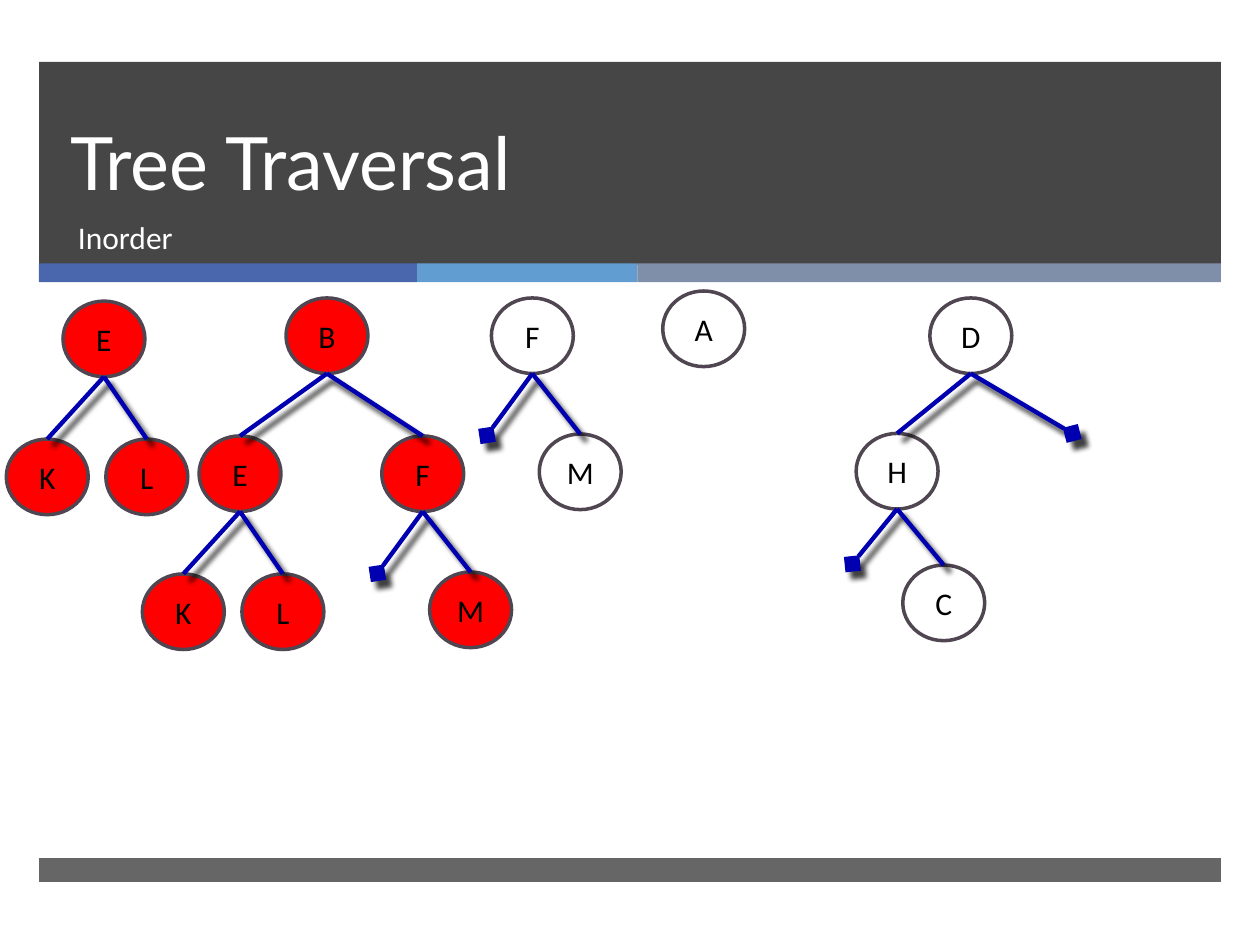
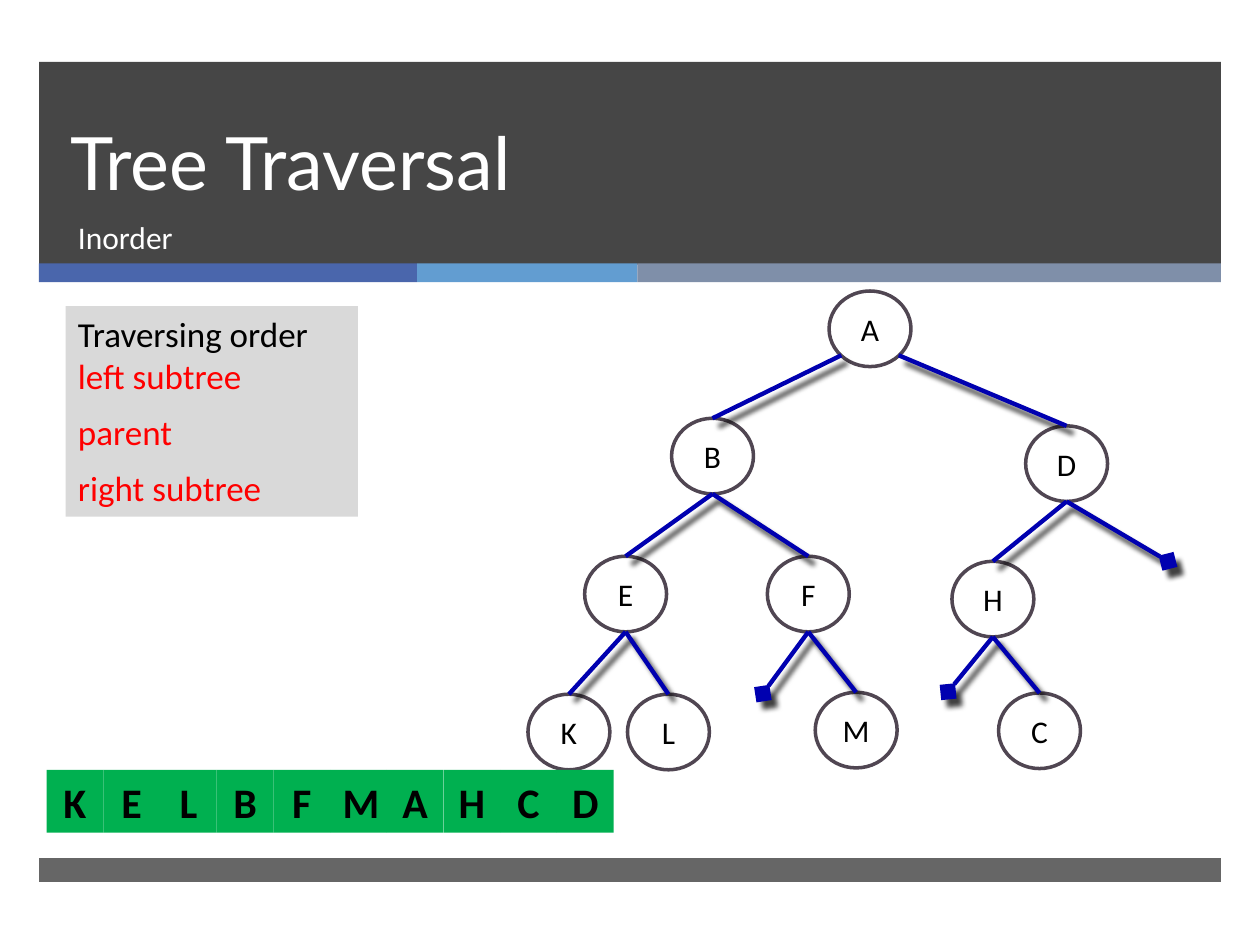
import lxml.etree
import pptx
import pptx.dml.color
import pptx.enum.shapes
import pptx.enum.text
import pptx.oxml.ns
import pptx.util

SLIDE_WIDTH = pptx.util.Inches(10)
SLIDE_HEIGHT = pptx.util.Inches(7.5)
COLUMNS, ROWS = 100, 75

BLACK, WHITE, RED, GREEN = "000000", "FFFFFF", "FF0000", "00B050"
DARK, OUTLINE, EDGE, PANEL = "262626", "504652", "0000B0", "D9D9D9"
BAND_LEFT, BAND_WIDTH = 3.1, 93.8
STRIPES = [("4A66AC", 30), ("629DD1", 17.5), ("7F8FA9", 46.3)]
NODE_WIDTH, NODE_HEIGHT = 6.5, 6
BRANCHES = {
    "A": [("B", -12.5, 10.1), ("D", 15.6, 10.7)],
    "B": [("E", -6.9, 10.95), ("F", 7.6, 10.95)],
    "D": [("H", -5.85, 10.75), (None, 8.05, 10.75)],
    "E": [("K", -4.5, 10.95), ("L", 3.4, 10.95)],
    "F": [(None, -3.6, 10.9), ("M", 3.8, 10.8)],
    "H": [(None, -3.55, 10.35), ("C", 3.7, 10.45)],
}

ALIGN = pptx.enum.text.PP_ALIGN
ANCHOR = pptx.enum.text.MSO_ANCHOR
SHAPE = pptx.enum.shapes.MSO_SHAPE
NO_MARGINS = dict.fromkeys(
    ["margin_left", "margin_right", "margin_top", "margin_bottom"], 0)


def color(hex_string):
    return pptx.dml.color.RGBColor.from_string(hex_string)


def across(columns):
    return round(SLIDE_WIDTH * columns / COLUMNS)


def down(rows):
    return round(SLIDE_HEIGHT * rows / ROWS)


def box(left, top, width, height):
    return across(left), down(top), across(width), down(height)


def apply_format(target, values):
    for name, value in values.items():
        setattr(target, name, value)


def add_element(parent, tag, **attributes):
    return lxml.etree.SubElement(parent, pptx.oxml.ns.qn(tag), attributes)


def paint(shape, fill, opacity=100):
    shape.fill.solid()
    shape.fill.fore_color.rgb = color(fill)
    if opacity < 100:
        fill_color = shape.fill._xPr.find(".//" + pptx.oxml.ns.qn("a:srgbClr"))
        add_element(fill_color, "a:alpha", val=str(opacity * 1000))


def add_run(paragraph, text, size, font="Calibri", fill=BLACK, bold=False):
    run = paragraph.add_run()
    run.text = text
    apply_format(run.font, {"name": font, "size": pptx.util.Pt(size), "bold": bold})
    run.font.color.rgb = color(fill)


def add_rectangle(shapes, place, fill, opacity=100):
    shape = shapes.add_shape(SHAPE.RECTANGLE, *box(*place))
    shape.shadow.inherit = False
    shape.line.fill.background()
    paint(shape, fill, opacity)


def add_text_box(slide, place, fill=None, **frame_format):
    shape = slide.shapes.add_textbox(*box(*place))
    if fill:
        paint(shape, fill)
    apply_format(shape.text_frame, {"word_wrap": True, **frame_format})
    return shape.text_frame


def add_header(slide, title, subtitle):
    add_rectangle(slide.shapes, (BAND_LEFT, 4.9, BAND_WIDTH, 16.1), DARK, 85)
    stripes = slide.shapes.add_group_shape()
    left = BAND_LEFT
    for fill, width in STRIPES:
        add_rectangle(stripes.shapes, (left, 20.9, width, 1.5), fill)
        left += width
    add_rectangle(slide.shapes, (BAND_LEFT, 68.1, BAND_WIDTH, 1.9), DARK, 70)

    frame = add_text_box(slide, (4.6, 4.9, 85.4, 11.9), vertical_anchor=ANCHOR.BOTTOM)
    frame.paragraphs[0].line_spacing = pptx.util.Pt(46)
    add_run(frame.paragraphs[0], title, 42, "Lato", WHITE)
    frame = add_text_box(slide, (5.2, 16.8, 84.8, 5.3))
    add_run(frame.paragraphs[0], subtitle, 18, fill=WHITE)


def add_node(slide, label, left, top, fill=None):
    shape = slide.shapes.add_shape(
        SHAPE.OVAL, *box(left, top, NODE_WIDTH, NODE_HEIGHT))
    shape.shadow.inherit = False
    if fill:
        paint(shape, fill)
    else:
        shape.fill.background()
    shape.line.color.rgb = color(OUTLINE)
    shape.line.width = pptx.util.Pt(2)
    frame = shape.text_frame
    apply_format(frame, {**NO_MARGINS, "vertical_anchor": ANCHOR.MIDDLE})
    frame.paragraphs[0].alignment = ALIGN.CENTER
    add_run(frame.paragraphs[0], label, 18)


def add_edge(slide, start, end, ends_empty):
    connector = slide.shapes.add_connector(
        pptx.enum.shapes.MSO_CONNECTOR.STRAIGHT,
        across(start[0]), down(start[1]), across(end[0]), down(end[1]))
    connector.line.color.rgb = color(EDGE)
    connector.line.width = pptx.util.Pt(2.5)
    if ends_empty:
        add_element(connector.line._get_or_add_ln(), "a:tailEnd",
                    type="diamond", w="lg", len="lg")
    effects = add_element(connector._element.spPr, "a:effectLst")
    shadow = add_element(
        effects, "a:outerShdw", blurRad="38100", dist="70000", dir="3000000",
        algn="tl", rotWithShape="0")
    add_element(add_element(shadow, "a:srgbClr", val=BLACK), "a:alpha", val="75000")


def add_tree(slide, label, left, top, fill=None):
    add_node(slide, label, left, top, fill)
    center = left + NODE_WIDTH / 2
    for child, shift, drop in BRANCHES.get(label, []):
        start = (center, top + NODE_HEIGHT)
        if label == "A":
            side = 1 if shift > 0 else -1
            start = (center + side * NODE_WIDTH * 0.35, top + NODE_HEIGHT * 0.85)
        if child:
            add_tree(slide, child, left + shift, top + drop, fill)
        add_edge(slide, start, (center + shift, top + drop), child is None)


def add_order_panel(slide):
    frame = add_text_box(
        slide, (5.2, 24.3, 23.2, 16.7), PANEL,
        auto_size=pptx.enum.text.MSO_AUTO_SIZE.SHAPE_TO_FIT_TEXT)
    for index, step in enumerate(["left subtree", "parent", "right subtree"]):
        paragraph = frame.add_paragraph() if index else frame.paragraphs[0]
        spacing = pptx.util.Pt(4)
        apply_format(paragraph, {
            "space_before": spacing, "space_after": spacing,
            "alignment": ALIGN.JUSTIFY if index else ALIGN.LEFT})
        if index == 0:
            add_run(paragraph, "Traversing order", 20)
            paragraph.add_line_break()
        add_run(paragraph, step, 20, fill=RED)


def add_visited(slide, labels):
    for index, label in enumerate(labels):
        frame = add_text_box(
            slide, (3.7 + 4.5 * index, 61.1, 4.5, 5), GREEN,
            auto_size=pptx.enum.text.MSO_AUTO_SIZE.SHAPE_TO_FIT_TEXT)
        frame.paragraphs[0].alignment = ALIGN.CENTER
        add_run(frame.paragraphs[0], label, 24, bold=True)


def add_slide(presentation):
    slide = presentation.slides.add_slide(presentation.slide_layouts[6])
    add_header(slide, "Tree Traversal", "Inorder")
    return slide


def main():
    presentation = pptx.Presentation()
    apply_format(presentation, {
        "slide_width": SLIDE_WIDTH, "slide_height": SLIDE_HEIGHT})

    subtrees = add_slide(presentation)
    add_tree(subtrees, "B", 22.7, 23.65, RED)
    add_node(subtrees, "A", 52.6, 23.1)
    add_tree(subtrees, "D", 73.8, 23.65)
    add_tree(subtrees, "E", 5, 23.9, RED)
    add_tree(subtrees, "F", 39, 23.65)

    whole = add_slide(presentation)
    add_order_panel(whole)
    add_tree(whole, "A", 65.8, 23.1)
    add_visited(whole, "KELBFMAHCD")

    presentation.save("out.pptx")


main()
